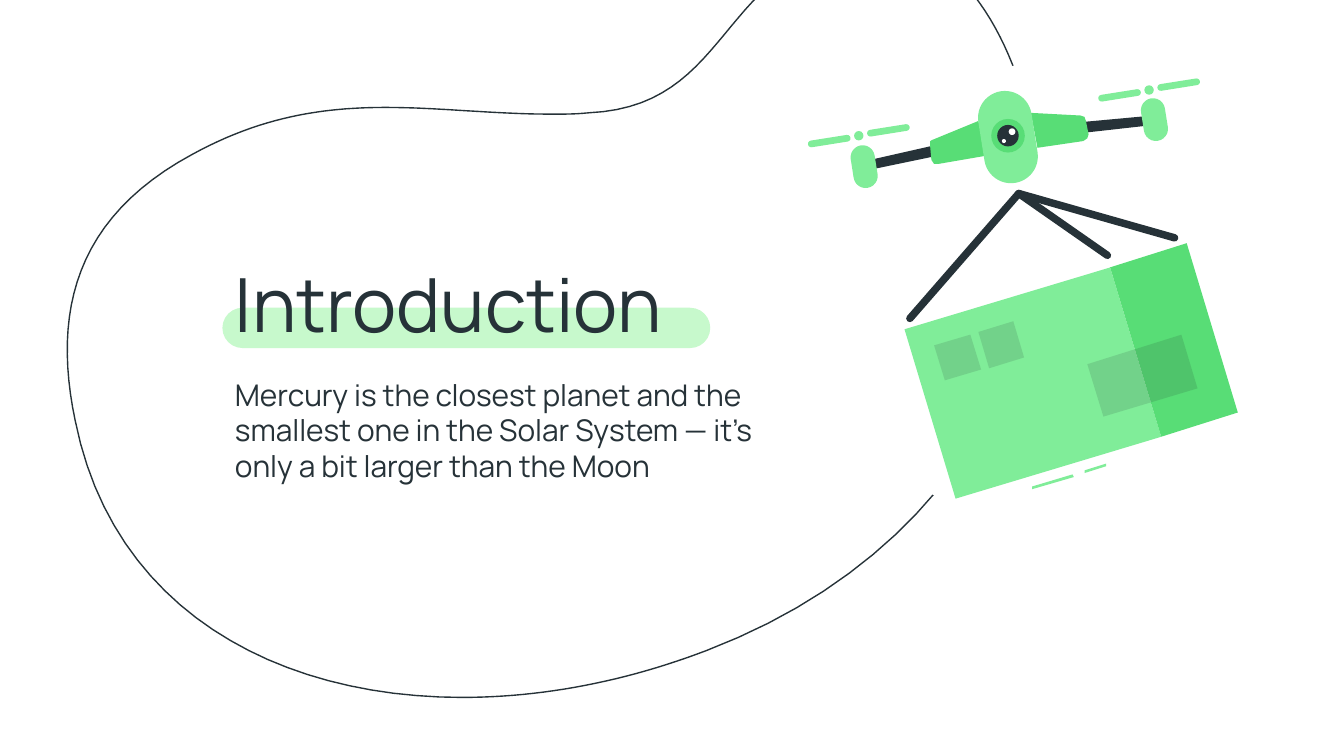
from pptx import Presentation
from pptx.util import Inches, Pt
from pptx.dml.color import RGBColor
from pptx.enum.shapes import MSO_SHAPE as Kind, MSO_CONNECTOR as Link
from pptx.enum.text import MSO_ANCHOR as Anchor
from pptx.oxml.ns import qn
from lxml.etree import SubElement

FONT = "Manrope"
WIDE = Inches(10)
TALL = WIDE * 9 // 16
HUES = {"ink": "263238", "pale": "C7F9CC", "mint": "80ED99",
        "leaf": "58DD76", "white": "FFFFFF", "label": "1A2327"}
TEXTS = [
    ("Introduction", (1.65, 1.82, 4.23, 0.79), 40, 0),
    ("Mercury is the closest planet and the smallest one in the Solar System "
     "— it’s only a bit larger than the Moon", (1.65, 2.7, 4.23, 1.12), 16, 16),
]
START = (6.51, -0.44)
CURVES = [
    (6.36, -0.44, 6.19, -0.4, 6.01, -0.31), (5.34, 0.04, 5.29, 0.8, 4.38, 0.84),
    (4.29, 0.85, 4.2, 0.85, 4.11, 0.85), (3.67, 0.85, 3.27, 0.8, 2.87, 0.8),
    (2.4, 0.8, 1.94, 0.87, 1.43, 1.15), (0.56, 1.62, 0.39, 2.32, 0.56, 3.13),
    (0.84, 4.53, 2.05, 5.19, 3.44, 5.19), (4.04, 5.19, 4.66, 5.07, 5.26, 4.84),
    (7.17, 4.11, 8.05, 2.42, 7.62, 0.74), (7.48, 0.23, 7.12, -0.44, 6.51, -0.44),
]
STEPS = 24
CRATE = [
    ("mint", [(7.98, 3.53), (7.68, 3.62), (7.68, 3.64), (7.99, 3.55)]),
    ("mint", [(8.23, 3.45), (8.07, 3.5), (8.07, 3.52), (8.23, 3.47)]),
    ("mint", [(8.26, 1.99), (6.73, 2.45), (7.11, 3.71), (8.64, 3.25)]),
    ("leaf", [(8.83, 1.81), (8.26, 1.99), (8.64, 3.25), (9.21, 3.07)]),
]
LABELS = [
    [(8.79, 2.49), (8.09, 2.71), (8.21, 3.1), (8.91, 2.89)],
    [(7.22, 2.49), (6.95, 2.57), (7.03, 2.83), (7.3, 2.75)],
    [(7.54, 2.39), (7.28, 2.47), (7.36, 2.74), (7.62, 2.66)],
]
ARMS = [
    ("ink", [(8.58, 0.86), (8.04, 0.91), (8.05, 0.99), (8.59, 0.93)]),
    ("ink", [(6.96, 1.08), (6.43, 1.2), (6.44, 1.27), (6.97, 1.16)]),
    ("leaf", [(7.67, 0.84), (7.72, 1.1), (8.06, 1.05), (8.09, 1.03), (8.1, 1),
              (8.08, 0.9), (8.07, 0.87), (8.04, 0.86)]),
    ("leaf", [(7.28, 0.9), (6.94, 1.04), (6.92, 1.05), (6.92, 1.08),
              (6.93, 1.19), (6.95, 1.22), (6.98, 1.22), (7.33, 1.16)]),
]
TILT = -9
BODY = (7.5, 1.02, 0.4, 0.69)
PODS = [(8.59, 0.89), (6.43, 1.24)]
POD = (0.18, 0.32)
HUBS = [(8.55, 0.67), (6.39, 1.01)]
BLADE = (0.32, 0.05)
REACH = (0.22, -0.04)
EYE = [("leaf", 7.5, 1.01, 0.25), ("ink", 7.5, 1.01, 0.16),
       ("white", 7.53, 0.98, 0.05), ("white", 7.47, 1.05, 0.03)]
HOOK = (7.58, 1.44)
CORDS = [(8.74, 1.77), (8.24, 1.9), (6.77, 2.37)]


def hue(name):
    return RGBColor.from_string(HUES[name])


def paint(shape, name, alpha=None):
    shape.shadow.inherit = False
    shape.line.fill.background()
    shape.fill.solid()
    shape.fill.fore_color.rgb = hue(name)
    if alpha:
        tint = shape.fill._xPr.find(".//" + qn("a:srgbClr"))
        SubElement(tint, qn("a:alpha")).set("val", str(alpha * 1000))


def outline(art, points):
    spots = [(Inches(x), Inches(y)) for x, y in points]
    form = art.build_freeform(*spots[0])
    form.add_line_segments(spots[1:], close=True)
    return form.convert_to_shape()


def oval(art, name, x, y, size):
    box = (x - size / 2, y - size / 2, size, size)
    paint(art.add_shape(Kind.OVAL, *map(Inches, box)), name)


def pill(art, name, x, y, wide, tall, turn=0):
    box = (x - wide / 2, y - tall / 2, wide, tall)
    shape = art.add_shape(Kind.ROUNDED_RECTANGLE, *map(Inches, box))
    shape.adjustments[0] = 0.5
    shape.rotation = turn
    paint(shape, name)


def bend(start, curves):
    points = [start]
    for ax, ay, bx, by, ex, ey in curves:
        sx, sy = points[-1]
        for i in range(1, STEPS + 1):
            t = i / STEPS
            u = 1 - t
            mix = (u ** 3, 3 * u * u * t, 3 * u * t * t, t ** 3)
            points.append((sum(m * x for m, x in zip(mix, (sx, ax, bx, ex))),
                           sum(m * y for m, y in zip(mix, (sy, ay, by, ey)))))
    return points


def write(art, text, box, size, after):
    frame = art.add_textbox(*map(Inches, box)).text_frame
    frame.word_wrap = True
    frame.vertical_anchor = Anchor.TOP
    frame.margin_left = frame.margin_right = Inches(0.1)
    frame.margin_top = frame.margin_bottom = Inches(0.1)
    para = frame.paragraphs[0]
    para.space_after = Pt(after)
    run = para.add_run()
    run.text = text
    run.font.name = FONT
    run.font.size = Pt(size)
    run.font.color.rgb = hue("ink")


def cord(art, end):
    line = art.add_connector(Link.STRAIGHT, *map(Inches, HOOK + end))
    line.line.color.rgb = hue("ink")
    line.line.width = Pt(4)
    line.line._get_or_add_ln().set("cap", "rnd")
    SubElement(line._element.spPr, qn("a:effectLst"))


def drone(art):
    oval(art, "white", 7.8, 2.19, 3.44)
    for name, points in CRATE:
        paint(outline(art, points), name)
    for points in LABELS:
        paint(outline(art, points), "label", 13)
    for name, points in ARMS:
        paint(outline(art, points), name)
    pill(art, "mint", *BODY, TILT)
    for part in EYE:
        oval(art, *part)
    for spot in PODS:
        pill(art, "mint", *spot, *POD, TILT)
    for x, y in HUBS:
        oval(art, "mint", x, y, 0.07)
        for side in (-1, 1):
            pill(art, "mint", x + side * REACH[0], y + side * REACH[1],
                 *BLADE, TILT)
    for end in CORDS:
        cord(art, end)


def main():
    deck = Presentation()
    deck.slide_width, deck.slide_height = WIDE, TALL
    art = deck.slides.add_slide(deck.slide_layouts[6]).shapes
    loop = outline(art, bend(START, CURVES))
    loop.shadow.inherit = False
    loop.fill.background()
    loop.line.color.rgb = hue("ink")
    loop.line.width = Pt(0.75)
    pill(art, "pale", 3.47, 2.44, 3.63, 0.3)
    for item in TEXTS:
        write(art, *item)
    drone(art.add_group_shape().shapes)
    deck.save("out.pptx")


if __name__ == "__main__":
    main()
